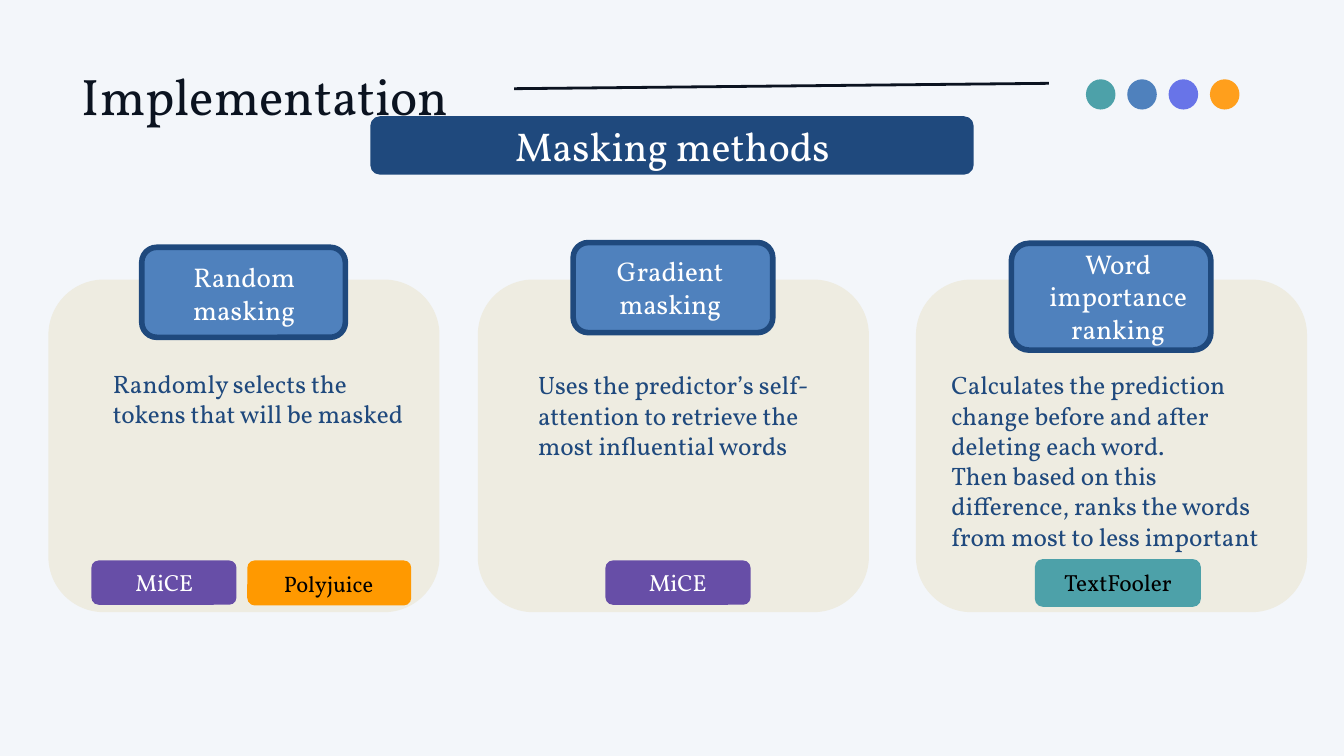
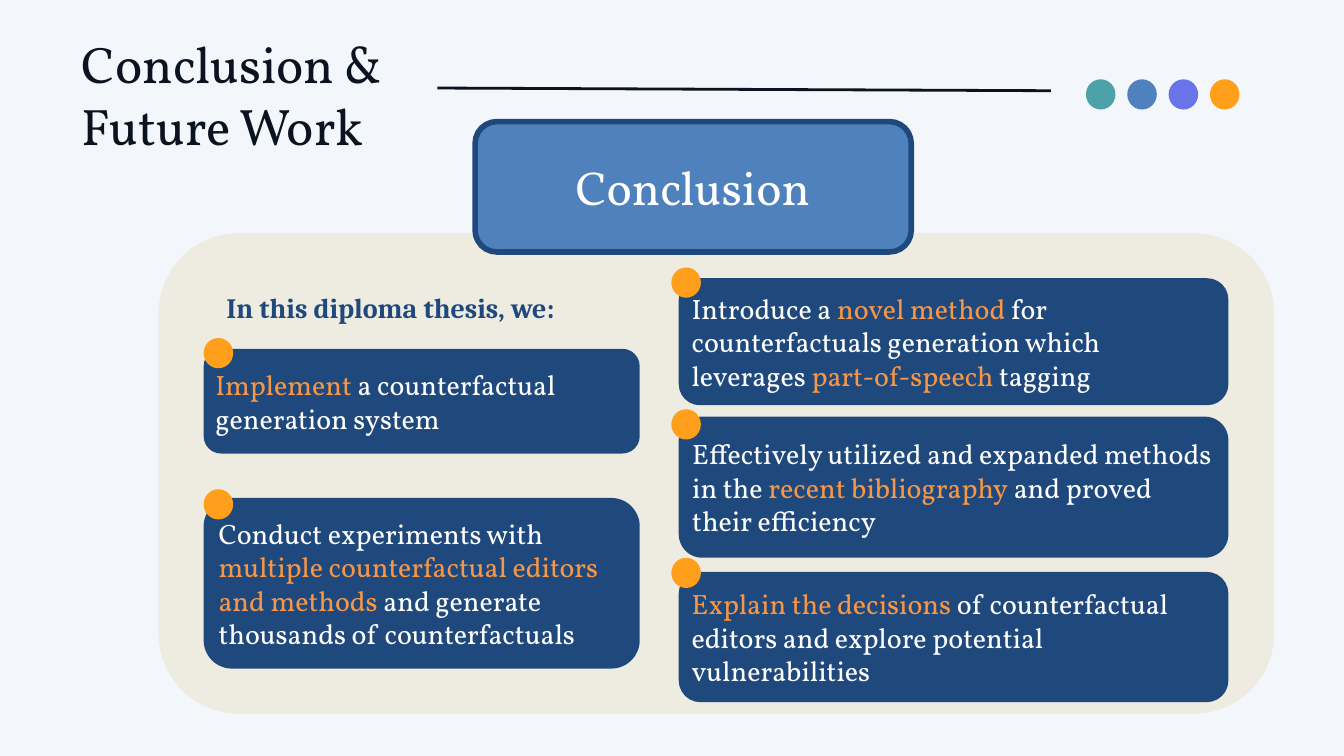
from dataclasses import dataclass

from lxml import etree
from pptx import Presentation
from pptx.dml.color import RGBColor
from pptx.enum.shapes import MSO_CONNECTOR, MSO_SHAPE
from pptx.enum.text import MSO_ANCHOR, MSO_AUTO_SIZE, PP_ALIGN
from pptx.oxml.ns import qn
from pptx.util import Inches, Pt

ROUNDED, OVAL = MSO_SHAPE.ROUNDED_RECTANGLE, MSO_SHAPE.OVAL
LEFT, CENTER = PP_ALIGN.LEFT, PP_ALIGN.CENTER
TOP, MIDDLE = MSO_ANCHOR.TOP, MSO_ANCHOR.MIDDLE
COLUMNS, ROWS = 20, 11.25
CELL = Inches(1)


@dataclass(frozen=True)
class Theme:
    font: str = "Vollkorn"
    lead_font: str = "Cambria"
    paper: str = "F3F6FA"
    ink: str = "0B1320"
    navy: str = "1F497D"
    blue: str = "4F81BD"
    sand: str = "EEECE1"
    teal: str = "4DA1A9"
    violet: str = "6874E8"
    amber: str = "FF9F1C"
    orange: str = "FF9900"
    purple: str = "674EA7"
    accent: str = "F79646"
    white: str = "FFFFFF"
    black: str = "000000"
    title: int = 55
    conclusion: int = 51
    banner: int = 43
    point: int = 30
    heading: int = 29
    body: int = 27
    tag: int = 25
    rule: int = 3
    border: int = 6


theme = Theme()


def add_box(slide, area, kind=None, fill=None, line=None):
    area = [int(length * CELL) for length in area]
    if kind is None:
        return slide.shapes.add_textbox(*area)
    box = slide.shapes.add_shape(kind, *area)
    box.shadow.inherit = False
    box.fill.solid()
    box.fill.fore_color.rgb = RGBColor.from_string(fill)
    if line:
        box.line.color.rgb = RGBColor.from_string(line)
        box.line.width = Pt(theme.border)
    else:
        box.line.fill.background()
    return box


def write(box, text, size, color, font=theme.font, bold=False, align=LEFT,
          anchor=TOP, inset=0.1, spacing=1.0):
    frame = box.text_frame
    frame.word_wrap = True
    frame.auto_size = MSO_AUTO_SIZE.NONE
    frame.vertical_anchor = anchor
    frame.margin_left = frame.margin_right = Inches(inset)
    frame.margin_top = frame.margin_bottom = Inches(inset)
    para = frame.paragraphs[0]
    para.alignment = align
    para.line_spacing = spacing
    for row, line in enumerate(text.split("\n")):
        if row:
            para.add_line_break()
        for index, piece in enumerate(line.split("*")):
            if piece:
                span = para.add_run()
                span.text = piece
                span.font.name = font
                span.font.size = Pt(size)
                span.font.bold = bold
                shade = theme.accent if index % 2 else color
                span.font.color.rgb = RGBColor.from_string(shade)


deck = Presentation()
deck.slide_width = int(COLUMNS * CELL)
deck.slide_height = int(ROWS * CELL)
backdrop = deck.slide_master.background.fill
backdrop.solid()
backdrop.fore_color.rgb = RGBColor.from_string(theme.paper)
title_only = deck.slide_layouts[5]

headers = [
    ("Implementation", 0.77, 0.93, 1.2, (7.65, 1.32, 15.61, 1.24)),
    ("Conclusion & Future Work", 0.48, 1.85, 1.0, (6.51, 1.31, 15.64, 1.35)),
]
pages = []
for text, top, height, spacing, ends in headers:
    page = deck.slides.add_slide(title_only)
    pages.append(page)
    title = page.shapes.title
    title.left, title.top = int(1.22 * CELL), int(top * CELL)
    title.width, title.height = int(6.3 * CELL), int(height * CELL)
    write(title, text, theme.title, theme.ink, inset=0, spacing=spacing)
    rule = page.shapes.add_connector(
        MSO_CONNECTOR.STRAIGHT, *[int(end * CELL) for end in ends])
    rule.line.color.rgb = RGBColor.from_string(theme.ink)
    rule.line.width = Pt(theme.rule)
    etree.SubElement(rule._element.spPr, qn("a:effectLst"))
    dots = [theme.teal, theme.blue, theme.violet, theme.amber]
    for index, color in enumerate(dots):
        add_box(page, (16.16 + index * 0.615, 1.18, 0.44, 0.45), OVAL, color)

methods, conclusion = pages

add_box(methods, (5.51, 1.73, 8.98, 0.87), ROUNDED, theme.navy)
write(add_box(methods, (5.73, 1.7, 8.55, 0.93)), "Masking methods",
      theme.banner, theme.white, align=CENTER)

cards = [
    (0.72, "Random masking", (2.11, 3.68, 3.03, 1.34), (2.38, 3.78, 2.51, 1.18),
     "Randomly selects the tokens that will be masked", (1.58, 5.38, 4.53, 1.57)),
    (7.11, "Gradient masking", (8.53, 3.61, 2.97, 1.34), (8.85, 3.69, 2.25, 1.18),
     "Uses the predictor’s self-attention to retrieve the most influential words",
     (7.91, 5.4, 4.53, 2.02)),
    (13.63, "Word importance ranking", (15.05, 3.62, 2.97, 1.59),
     (15.42, 3.58, 2.44, 1.67),
     "Calculates the prediction change before and after deleting each word.\n"
     "Then based on this difference, ranks the words from most to less important",
     (14.06, 5.4, 4.96, 2.93)),
]
for left, heading, plate, heading_area, body, body_area in cards:
    add_box(methods, (left, 4.16, 5.82, 4.95), ROUNDED, theme.sand)
    add_box(methods, plate, ROUNDED, theme.blue, theme.navy)
    write(add_box(methods, heading_area), heading, theme.heading, theme.white,
          align=CENTER)
    write(add_box(methods, body_area), body, theme.body, theme.navy)

tags = [
    ("MiCE", theme.purple, theme.white, theme.tag,
     (1.36, 8.34, 2.16, 0.66), (1.55, 8.36, 1.79, 0.62)),
    ("Polyjuice", theme.orange, theme.black, theme.tag - 1,
     (3.68, 8.34, 2.44, 0.67), (3.97, 8.39, 1.84, 0.61)),
    ("MiCE", theme.purple, theme.white, theme.tag,
     (9.01, 8.34, 2.16, 0.66), (9.19, 8.36, 1.79, 0.62)),
    ("TextFooler", theme.teal, theme.black, theme.tag,
     (15.4, 8.32, 2.47, 0.71), (15.51, 8.36, 2.25, 0.62)),
]
for name, fill, color, size, plate, name_area in tags:
    add_box(methods, plate, ROUNDED, fill)
    write(add_box(methods, name_area), name, size, color, align=CENTER)

add_box(conclusion, (2.36, 3.47, 16.6, 7.15), ROUNDED, theme.sand)
add_box(conclusion, (7.07, 1.81, 6.49, 1.94), ROUNDED, theme.blue, theme.navy)
write(add_box(conclusion, (7.56, 2.25, 5.5, 1.06)), "Conclusion",
      theme.conclusion, theme.white, align=CENTER)
write(add_box(conclusion, (3.27, 4.22, 6.01, 0.71)), "In this diploma thesis, we:",
      theme.point, theme.navy, font=theme.lead_font, bold=True)

left_column, right_column = (3.03, 6.49, 3.03), (10.1, 8.18, 9.99)
points = [
    (left_column, 5.19, 1.56, 5.03,
     "*Implement *a counterfactual generation system"),
    (left_column, 7.41, 2.54, 7.28,
     "Conduct experiments with *multiple counterfactual editors and methods* "
     "and generate thousands of counterfactuals"),
    (right_column, 4.14, 1.89, 3.98,
     "Introduce a *novel method* for counterfactuals generation which "
     "leverages *part-of-speech* tagging"),
    (right_column, 6.2, 2.1, 6.09,
     "Effectively utilized and expanded methods in the *recent bibliography* "
     "and proved their efficiency"),
    (right_column, 8.51, 1.94, 8.3,
     "*Explain the decisions* of counterfactual editors and explore potential "
     "vulnerabilities"),
]
for (left, width, dot_left), top, height, dot_top, text in points:
    point = add_box(conclusion, (left, top, width, height), ROUNDED, theme.navy)
    write(point, text, theme.point, theme.white, anchor=MIDDLE)
    add_box(conclusion, (dot_left, dot_top, 0.44, 0.45), OVAL, theme.amber)

deck.save("out.pptx")
